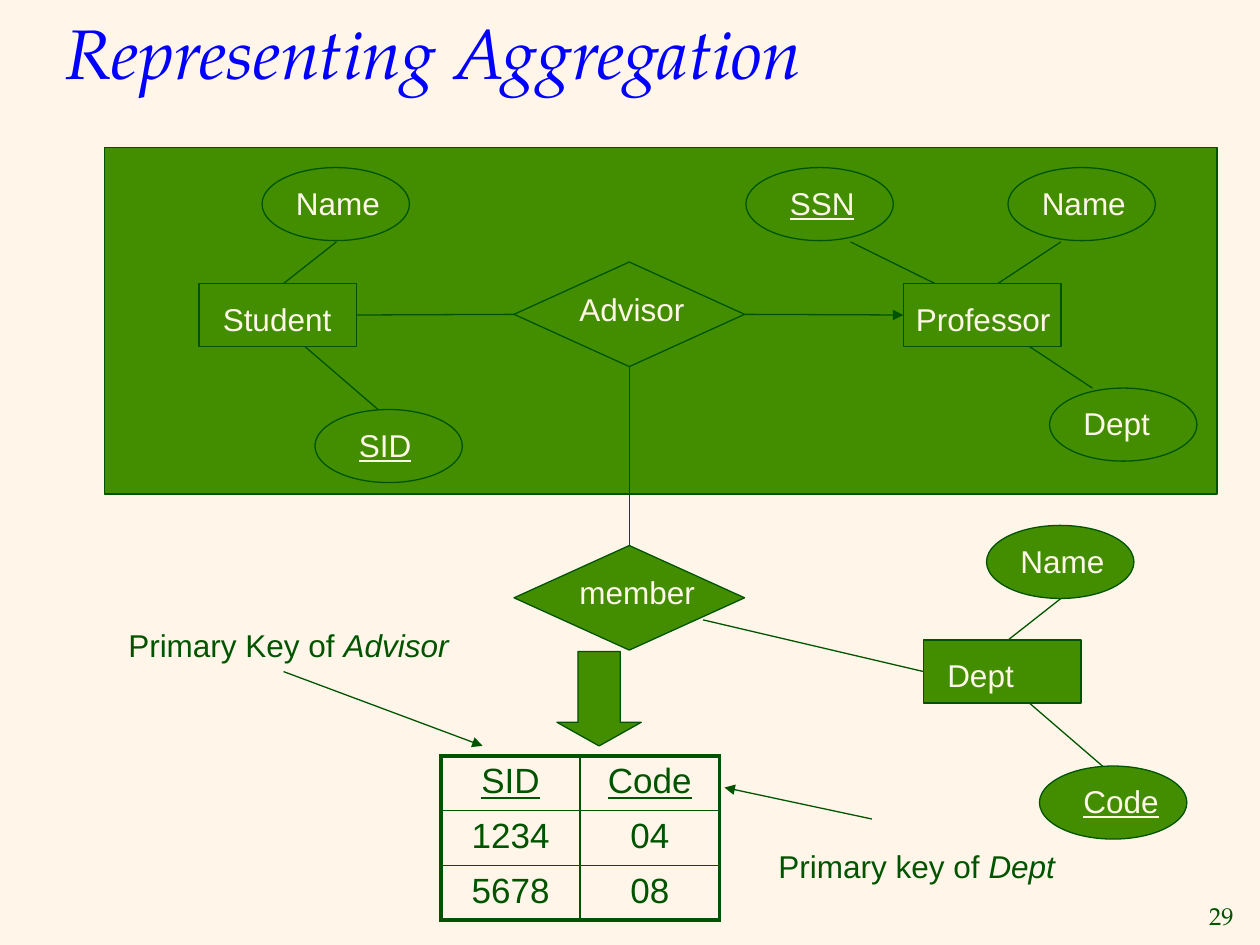
"""Build a slide on turning an ER aggregation into a relation table."""
from lxml import etree
from pptx import Presentation
from pptx.dml.color import RGBColor
from pptx.enum.shapes import MSO_CONNECTOR, MSO_SHAPE
from pptx.enum.text import MSO_ANCHOR, PP_ALIGN
from pptx.oxml.ns import qn
from pptx.util import Inches, Pt

STRAIGHT = MSO_CONNECTOR.STRAIGHT
RECTANGLE, ELLIPSE = MSO_SHAPE.RECTANGLE, MSO_SHAPE.OVAL
DIAMOND, DOWN_ARROW = MSO_SHAPE.FLOWCHART_DECISION, MSO_SHAPE.DOWN_ARROW
LEFT, CENTER, RIGHT = PP_ALIGN.LEFT, PP_ALIGN.CENTER, PP_ALIGN.RIGHT
TOP, MIDDLE = MSO_ANCHOR.TOP, MSO_ANCHOR.MIDDLE
CREAM = RGBColor(0xFF, 0xF6, 0xE9)
GREEN = RGBColor(0x43, 0x8E, 0x00)
DARK_GREEN = RGBColor(0x00, 0x54, 0x00)
BLUE = RGBColor(0x00, 0x00, 0xFF)
SANS, SERIF = "Arial", "TeX Gyre Pagella"
SIDE_TOP, SIDE_LEFT, SIDE_BOTTOM, SIDE_RIGHT = range(4)

# kind: width, height, label drop
KINDS = {
    RECTANGLE: (1.25, 0.5, 0.08),
    ELLIPSE: (1.17, 0.58, 0.08),
    DIAMOND: (1.83, 0.83, 0.17),
}
# key: kind, left, top, label, label indent, underlined
NODES = {
    "student": (RECTANGLE, 1.58, 2.25, "Student", 0.09, False),
    "student name": (ELLIPSE, 2.08, 1.33, "Name", 0.17, False),
    "student id": (ELLIPSE, 2.5, 3.25, "SID", 0.25, True),
    "advisor": (DIAMOND, 4.08, 2.08, "Advisor", 0.42, False),
    "professor": (RECTANGLE, 7.17, 2.25, "Professor", 0, False),
    "professor ssn": (ELLIPSE, 5.92, 1.33, "SSN", 0.25, True),
    "professor name": (ELLIPSE, 8, 1.33, "Name", 0.17, False),
    "professor dept": (ELLIPSE, 8.33, 3.08, "Dept", 0.17, False),
    "dept": (RECTANGLE, 7.33, 5.08, "Dept", 0.09, False),
    "dept name": (ELLIPSE, 7.83, 4.17, "Name", 0.17, False),
    "dept code": (ELLIPSE, 8.25, 6.08, "Code", 0.25, True),
    "member": (DIAMOND, 4.08, 4.33, "member", 0.42, False),
}
# start, end, begin joint, end joint, arrowhead
LINES = [
    ((2.67, 1.92), (2.25, 2.25), None, None, False),
    ((3, 3.25), (2.42, 2.75), None, None, False),
    ((6.75, 1.92), (7.42, 2.25), None, None, False),
    ((8.42, 1.92), (7.92, 2.25), None, None, False),
    ((8.67, 3.08), (8.17, 2.75), None, None, False),
    ((8.42, 4.75), (8, 5.08), None, None, False),
    ((8.75, 6.08), (8.17, 5.58), None, None, False),
    ((2.83, 2.5), (4.08, 2.5), ("student", SIDE_RIGHT), ("advisor", SIDE_LEFT), False),
    ((5.92, 2.5), (7.17, 2.5), ("advisor", SIDE_RIGHT), ("professor", SIDE_LEFT), True),
    ((5, 4.33), (5, 2.92), ("member", SIDE_TOP), ("advisor", SIDE_BOTTOM), False),
    ((7.33, 5.33), (5.58, 4.92), ("dept", SIDE_LEFT), None, False),
    ((2.25, 5.33), (3.83, 5.92), None, None, True),
    ((6.92, 6.5), (5.75, 6.25), None, None, True),
]
# left, top, width, plain text, italic text
NOTES = [
    (0.92, 4.92, 2.83, "Primary Key of ", "Advisor"),
    (6.08, 6.67, 2.42, "Primary key of ", "Dept"),
]
ROWS = [("SID", "Code"), ("1234", "04"), ("5678", "08")]


def write(paragraph, text, size=18, font=SANS, color=CREAM, italic=False,
          underline=False, align=LEFT):
    paragraph.alignment = align
    span = paragraph.add_run()
    span.text = text
    span.font.size, span.font.name = Pt(size), font
    span.font.italic, span.font.underline = italic, underline
    span.font.color.rgb = color


def add_text(page, left, top, width, height, anchor=TOP, wrap=True):
    box = page.shapes.add_textbox(*map(Inches, (left, top, width, height)))
    box.text_frame.word_wrap = wrap
    box.text_frame.vertical_anchor = anchor
    return box.text_frame.paragraphs[0]


def add_block(page, kind, left, top, width, height):
    block = page.shapes.add_shape(kind, *map(Inches, (left, top, width, height)))
    block.shadow.inherit = False
    block.fill.solid()
    block.fill.fore_color.rgb = GREEN
    block.line.color.rgb = DARK_GREEN
    block.line.width = Pt(0.75)
    return block


def add_node(page, kind, left, top, label, indent, underlined):
    width, height, drop = KINDS[kind]
    block = add_block(page, kind, left, top, width, height)
    write(add_text(page, left + indent, top + drop, 1.33, 0.4), label,
          underline=underlined)
    return block


def add_line(page, nodes, start, end, begin_joint, end_joint, arrow):
    line = page.shapes.add_connector(STRAIGHT, *map(Inches, start + end))
    if begin_joint:
        line.begin_connect(nodes[begin_joint[0]], begin_joint[1])
    if end_joint:
        line.end_connect(nodes[end_joint[0]], end_joint[1])
    line.line.color.rgb = DARK_GREEN
    line.line.width = Pt(0.75)
    properties = line._element.spPr
    if arrow:
        etree.SubElement(properties.find(qn("a:ln")), qn("a:tailEnd"), type="triangle")
    etree.SubElement(properties, qn("a:effectLst"))


def set_borders(cell, widths):
    properties = cell._tc.get_or_add_tcPr()
    for index, (side, width) in enumerate(widths.items()):
        border = etree.Element(qn(f"a:ln{side}"), w=str(Pt(width)))
        fill = etree.SubElement(border, qn("a:solidFill"))
        etree.SubElement(fill, qn("a:srgbClr"), val=str(DARK_GREEN))
        properties.insert(index, border)


def add_relation(page):
    row_count, column_count = len(ROWS), len(ROWS[0])
    frame = page.shapes.add_table(row_count, column_count, Inches(3.5), Inches(6),
                                  Inches(2.21), Inches(1.3))
    table = frame.table
    table.first_row = table.horz_banding = False
    for row, values in enumerate(ROWS):
        for column, value in enumerate(values):
            cell = table.cell(row, column)
            cell.fill.solid()
            cell.fill.fore_color.rgb = CREAM
            write(cell.text_frame.paragraphs[0], value, size=20, color=DARK_GREEN,
                  underline=row == 0, align=CENTER)
            outer = {"L": column == 0, "R": column == column_count - 1,
                     "T": row == 0, "B": row == row_count - 1}
            set_borders(cell, {side: 2.25 if edge else 1 for side, edge in outer.items()})


def main():
    deck = Presentation()
    deck.slide_width, deck.slide_height = Inches(10), Inches(7.5)
    page = deck.slides.add_slide(deck.slide_layouts[6])
    page.background.fill.solid()
    page.background.fill.fore_color.rgb = CREAM

    write(add_text(page, 9.45, 7.1, 0.44, 0.33, anchor=MIDDLE, wrap=False), "29",
          size=14, font=SERIF, color=DARK_GREEN, align=RIGHT)
    add_block(page, RECTANGLE, 0.83, 1.17, 8.83, 2.75)
    write(add_text(page, 0.42, -0.22, 9, 1.25, anchor=MIDDLE),
          "Representing Aggregation", size=40, font=SERIF, color=BLUE, italic=True)

    nodes = {key: add_node(page, *node) for key, node in NODES.items()}
    add_relation(page)
    arrow = add_block(page, DOWN_ARROW, 4.42, 5.17, 0.67, 0.75)
    arrow.adjustments[1] = 0.28
    for line in LINES:
        add_line(page, nodes, *line)
    for left, top, width, plain, emphasis in NOTES:
        paragraph = add_text(page, left, top, width, 0.4)
        write(paragraph, plain, color=DARK_GREEN)
        write(paragraph, emphasis, color=DARK_GREEN, italic=True)
    deck.save("out.pptx")


if __name__ == "__main__":
    main()
